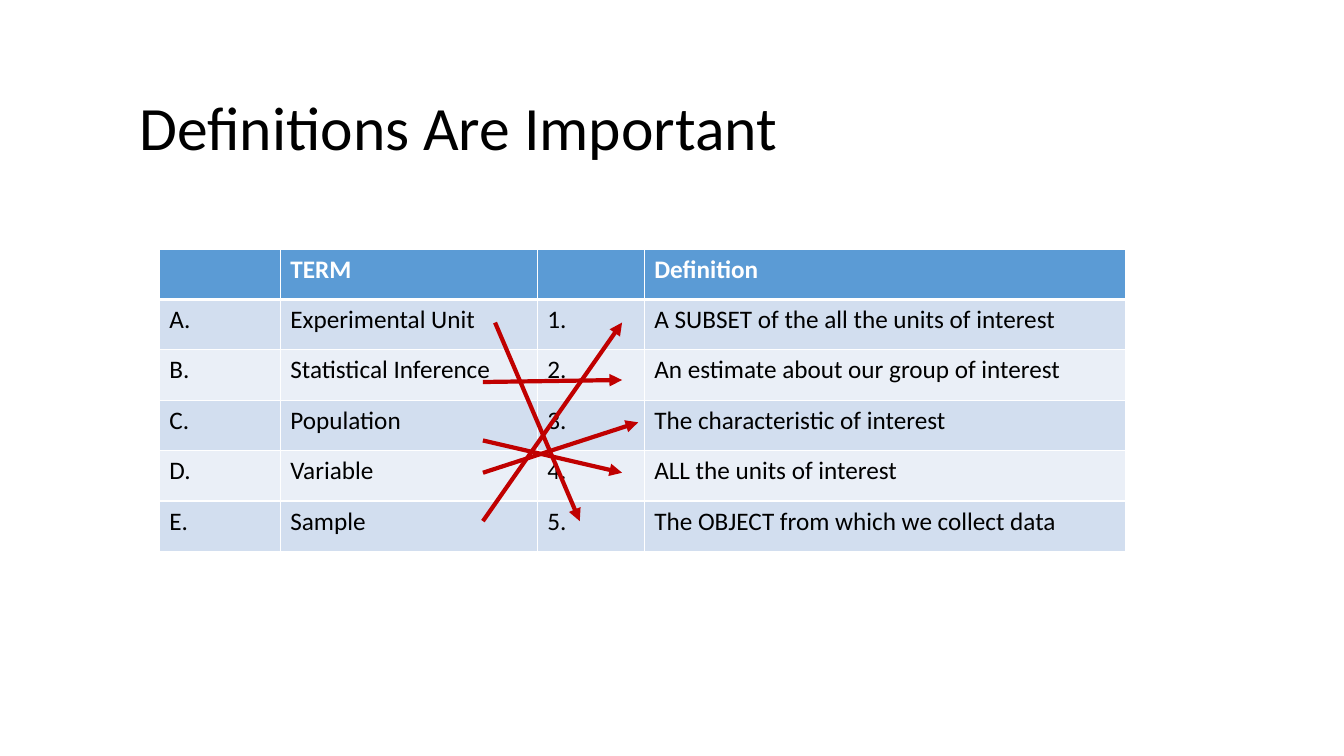
import pptx
import pptx.dml.color
import pptx.enum.shapes
import pptx.enum.text
import pptx.oxml
import pptx.oxml.ns
import pptx.util
from pptx.util import Inches

RGBColor = pptx.dml.color.RGBColor
BLACK = RGBColor(0x00, 0x00, 0x00)
WHITE = RGBColor(0xFF, 0xFF, 0xFF)
HEADER_BLUE = RGBColor(0x5B, 0x9B, 0xD5)
BAND_DARK = RGBColor(0xD2, 0xDE, 0xEF)
BAND_LIGHT = RGBColor(0xEA, 0xEF, 0xF7)
ARROW_RED = RGBColor(0xC0, 0x00, 0x00)

COLUMN_WIDTHS = [1.2, 2.55, 1.06, 4.77]
ROW_HEIGHT = 0.5
ROWS = [
    ("", "TERM", "", "Definition"),
    ("A.", "Experimental Unit", "1.", "A SUBSET of the all the units of interest"),
    ("B.", "Statistical Inference", "2.", "An estimate about our group of interest"),
    ("C.", "Population", "3.", "The characteristic of interest"),
    ("D.", "Variable", "4.", "ALL the units of interest"),
    ("E.", "Sample", "5.", "The OBJECT from which we collect data"),
]
MATCHES = [
    ((4.91, 3.2), (5.75, 5.17)),
    ((4.79, 3.79), (6.17, 3.77)),
    ((4.79, 4.37), (6.17, 4.69)),
    ((4.79, 4.69), (6.33, 4.19)),
    ((4.79, 5.17), (6.17, 3.2)),
]


def write(tf, text, size=18, color=BLACK, bold=False, font="Calibri", spacing=None):
    p = tf.paragraphs[0]
    p.alignment = pptx.enum.text.PP_ALIGN.LEFT
    p.line_spacing = spacing
    r = p.add_run()
    r.text = text
    r.font.name = font
    r.font.size = pptx.util.Pt(size)
    r.font.bold = bold
    r.font.color.rgb = color


def add_element(parent, tag, index=None, **attributes):
    """Insert an empty DrawingML element at index, or last."""
    element = pptx.oxml.parse_xml(f"<a:{tag} {pptx.oxml.ns.nsdecls('a')}/>")
    for name, value in attributes.items():
        element.set(name, value)
    parent.insert(len(parent) if index is None else index, element)
    return element


class SlideBuilder:
    def __init__(self, prs):
        self.s = prs.slides.add_slide(prs.slide_layouts[5])

    def title(self, text, left, top, width, height):
        sp = self.s.shapes.title
        sp.left, sp.top = Inches(left), Inches(top)
        sp.width, sp.height = Inches(width), Inches(height)
        tf = sp.text_frame
        tf.word_wrap = True
        tf.auto_size = pptx.enum.text.MSO_AUTO_SIZE.NONE
        tf.vertical_anchor = pptx.enum.text.MSO_ANCHOR.MIDDLE
        write(tf, text, size=44, spacing=0.9)

    def borders(self, cell, bottom, top):
        tc_pr = cell._tc.get_or_add_tcPr()
        widths = {"lnL": 1, "lnR": 1, "lnT": top, "lnB": bottom}
        for index, (side, width) in enumerate(widths.items()):
            line = add_element(tc_pr, side, index, w=str(pptx.util.Pt(width)))
            add_element(add_element(line, "solidFill"), "srgbClr", val=str(WHITE))

    def table(self, rows, left, top, widths, row_height):
        frame = self.s.shapes.add_table(
            len(rows), len(widths), Inches(left), Inches(top),
            Inches(sum(widths)), Inches(row_height * len(rows)))
        table = frame.table
        for column, width in zip(table.columns, widths):
            column.width = Inches(width)
        for i, row in enumerate(rows):
            table.rows[i].height = Inches(row_height)
            header = i == 0
            band = BAND_DARK if i % 2 else BAND_LIGHT
            for j, text in enumerate(row):
                cell = table.cell(i, j)
                cell.fill.solid()
                cell.fill.fore_color.rgb = HEADER_BLUE if header else band
                self.borders(cell, bottom=3 if header else 1, top=3 if i == 1 else 1)
                if text:
                    write(cell.text_frame, text, bold=header,
                          color=WHITE if header else BLACK)

    def arrow(self, start, end):
        line = self.s.shapes.add_connector(
            pptx.enum.shapes.MSO_CONNECTOR.STRAIGHT,
            *(Inches(value) for value in (*start, *end)))
        line.line.color.rgb = ARROW_RED
        line.line.width = pptx.util.Pt(3)
        add_element(line.line._get_or_add_ln(), "tailEnd", type="triangle")
        add_element(line._element.spPr, "effectLst")


def main():
    prs = pptx.Presentation()
    prs.slide_width, prs.slide_height = Inches(13.33), Inches(7.5)
    slide = SlideBuilder(prs)
    slide.title("Definitions Are Important", 1.28, 0.57, 11.5, 1.45)
    slide.table(ROWS, 1.58, 2.47, COLUMN_WIDTHS, ROW_HEIGHT)
    for start, end in MATCHES:
        slide.arrow(start, end)
    prs.save("out.pptx")


if __name__ == "__main__":
    main()
